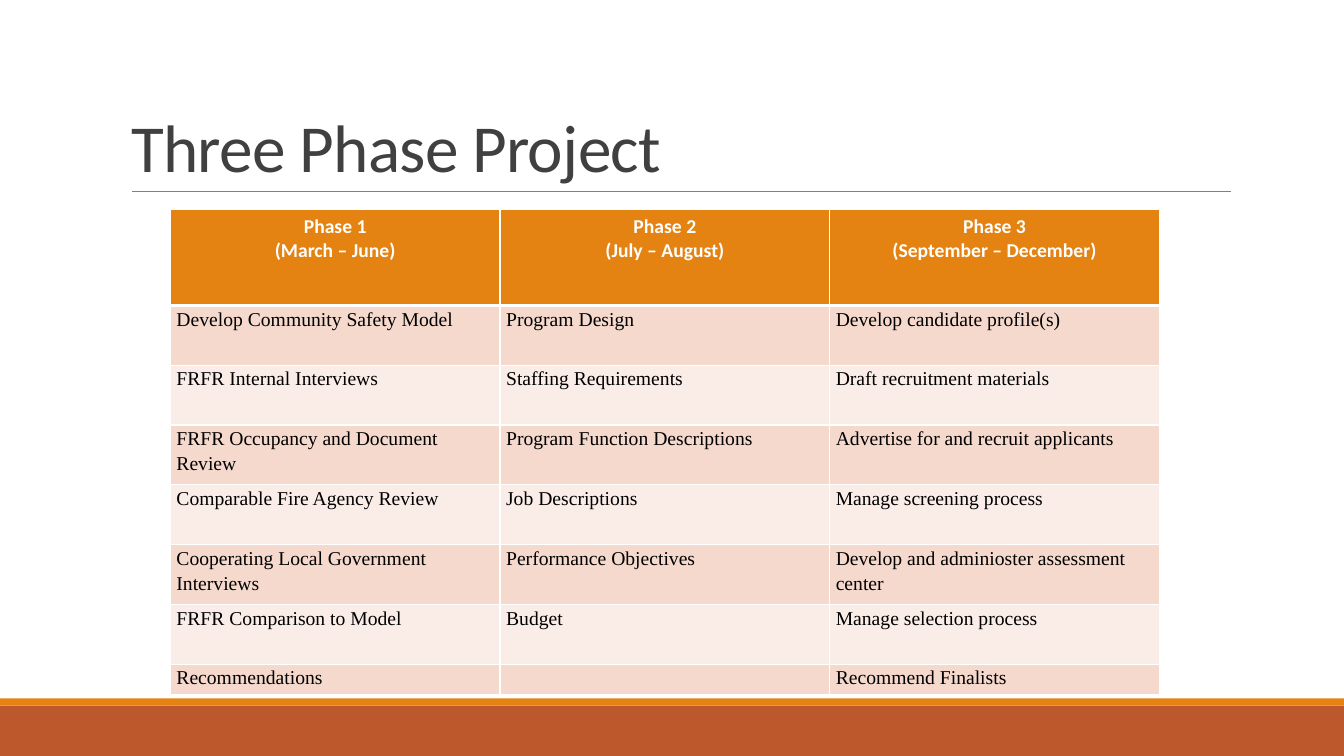
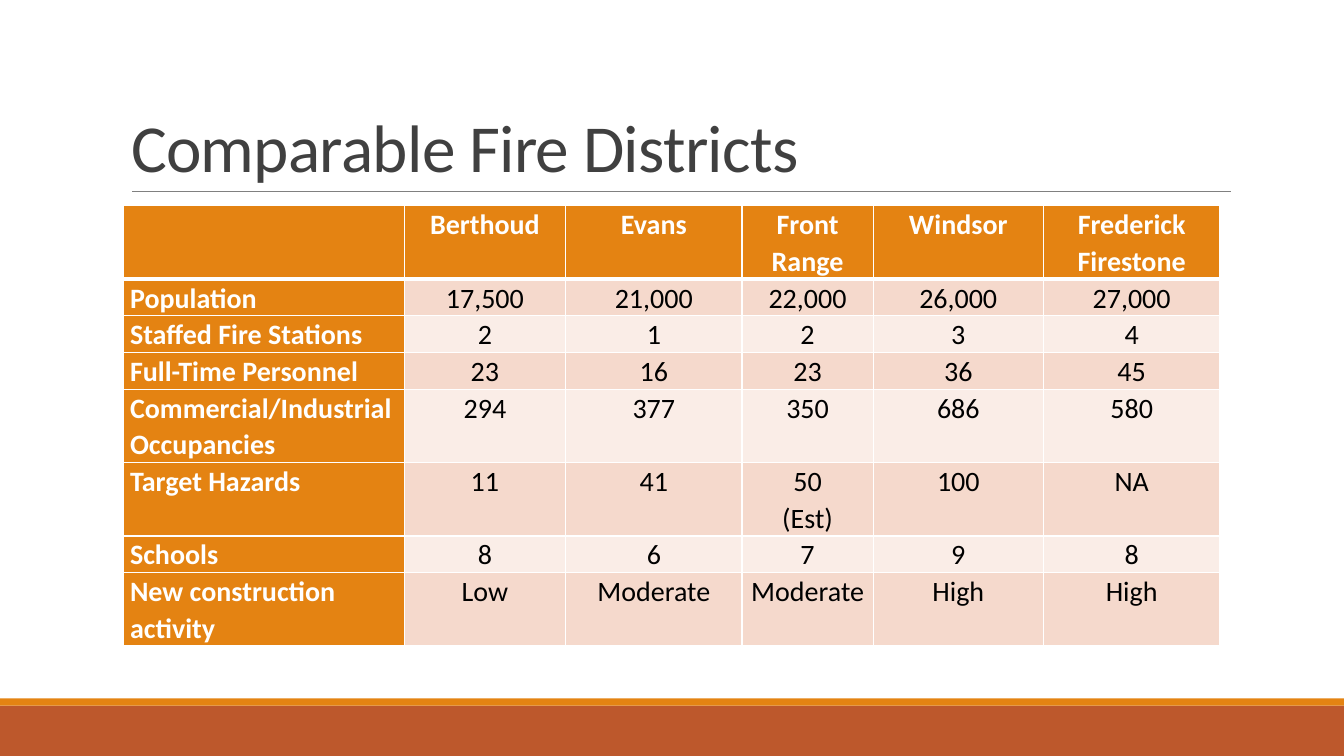
from pptx import Presentation
from pptx.dml.color import RGBColor
from pptx.enum.shapes import MSO_CONNECTOR, MSO_SHAPE
from pptx.enum.text import MSO_ANCHOR, PP_ALIGN
from pptx.oxml import parse_xml
from pptx.oxml.ns import nsdecls, qn
from pptx.util import Inches, Pt

LINE = MSO_CONNECTOR.STRAIGHT
RECTANGLE = MSO_SHAPE.RECTANGLE
BOTTOM = MSO_ANCHOR.BOTTOM
LEFT, CENTER = PP_ALIGN.LEFT, PP_ALIGN.CENTER

ORANGE, RUST, GRAY = "E48312", "BD582C", "808080"
WHITE, BLACK, TITLE_COLOR = "FFFFFF", "000000", "404040"
BANDS = ["FAEDE7", "F5D9CC"]
DECK_WIDTH, DECK_HEIGHT = 13.33, 7.5


def color(value):
    return RGBColor.from_string(value)


def add_borders(cell, top, bottom):
    """Draw white cell edges, 1 pt at the sides and the given points above and below."""
    properties = cell._tc.get_or_add_tcPr()
    for edge, width in (("lnL", 1), ("lnR", 1), ("lnT", top), ("lnB", bottom)):
        properties.append(parse_xml(
            f'<a:{edge} {nsdecls("a")} w="{Pt(width)}"><a:solidFill>'
            f'<a:srgbClr val="{WHITE}"/></a:solidFill></a:{edge}>'))


TABLES = [
    {
        "title": "Three Phase Project",
        "at": (1.69, 2.08),
        "columns": [3.27] * 3,
        "heights": [0.95] + [(4.81 - 0.95 - 0.3) / 6] * 6 + [0.3],
        "size": 14,
        "body_font": "Times New Roman",
        "body_align": LEFT,
        "header_column": False,
        "header_margins": (0.09, 0.05),
        "body_margins": (0.06, 0),
        "header_spacing": 1.0,
        "body_spacing": 1.15,
        "rows": [
            ["Phase 1\n(March – June)", "Phase 2\n(July – August)",
             "Phase 3\n(September – December)"],
            ["Develop Community Safety Model", "Program Design",
             "Develop candidate profile(s)"],
            ["FRFR Internal Interviews", "Staffing Requirements",
             "Draft recruitment materials"],
            ["FRFR Occupancy and Document Review", "Program Function Descriptions",
             "Advertise for and recruit applicants"],
            ["Comparable Fire Agency Review", "Job Descriptions",
             "Manage screening process"],
            ["Cooperating Local Government Interviews", "Performance Objectives",
             "Develop and adminioster assessment center"],
            ["FRFR Comparison to Model", "Budget", "Manage selection process"],
            ["Recommendations", "", "Recommend Finalists"],
        ],
    },
    {
        "title": "Comparable Fire Districts",
        "at": (1.22, 2.04),
        "columns": [2.79, 1.6, 1.75, 1.3, 1.69, 1.75],
        "heights": [0.68, 0.33, 0.33, 0.33, 0.68, 0.68, 0.33, 0.68],
        "size": 20,
        "body_font": "Calibri",
        "body_align": CENTER,
        "header_column": True,
        "header_margins": (0.07, 0),
        "body_margins": (0.07, 0),
        "header_spacing": 1.07,
        "body_spacing": 1.07,
        "rows": [
            ["", "Berthoud", "Evans", "Front Range", "Windsor", "Frederick Firestone"],
            ["Population", "17,500", "21,000", "22,000", "26,000", "27,000"],
            ["Staffed Fire Stations", "2", "1", "2", "3", "4"],
            ["Full-Time Personnel", "23", "16", "23", "36", "45"],
            ["Commercial/Industrial Occupancies", "294", "377", "350", "686", "580"],
            ["Target Hazards", "11", "41", "50\n(Est)", "100", "NA"],
            ["Schools", "8", "6", "7", "9", "8"],
            ["New construction activity", "Low", "Moderate", "Moderate", "High", "High"],
        ],
    },
]

deck = Presentation()
deck.slide_width, deck.slide_height = Inches(DECK_WIDTH), Inches(DECK_HEIGHT)

# Shared layout: title style, footer bands and the rule under the title
layout = deck.slide_layouts[5]
layout_title, *footers = layout.placeholders
for footer in footers:
    footer.element.getparent().remove(footer.element)
layout_title.left, layout_title.top = Inches(1.2), Inches(0.31)
layout_title.width, layout_title.height = Inches(11), Inches(1.59)
layout_title.text_frame.vertical_anchor = BOTTOM
layout_title.element.txBody.find(qn("a:lstStyle")).append(parse_xml(
    f'<a:lvl1pPr {nsdecls("a")} algn="l"><a:lnSpc><a:spcPct val="85000"/></a:lnSpc>'
    f'<a:defRPr sz="4800" spc="-50"><a:solidFill><a:srgbClr val="{TITLE_COLOR}"/>'
    '</a:solidFill><a:latin typeface="Calibri"/></a:defRPr></a:lvl1pPr>'))

pages = [deck.slides.add_slide(layout) for _ in TABLES]

# Layouts have no add_shape, so the decoration is made on a page and moved
decoration = []
for top, height, fill in ((7, 0.5, RUST), (6.93, 0.07, ORANGE)):
    band = pages[0].shapes.add_shape(
        RECTANGLE, 0, Inches(top), Inches(DECK_WIDTH), Inches(height))
    band.fill.solid()
    band.fill.fore_color.rgb = color(fill)
    band.line.fill.background()
    band.shadow.inherit = False
    decoration.append(band)
rule = pages[0].shapes.add_connector(
    LINE, Inches(1.31), Inches(1.9), Inches(12.21), Inches(1.9))
rule.line.color.rgb = color(GRAY)
rule.line.width = Pt(0.5)
rule.element.spPr.append(parse_xml(f'<a:effectLst {nsdecls("a")}/>'))
decoration.append(rule)
for shape in decoration:
    layout_title.element.addprevious(shape.element)

for page, content in zip(pages, TABLES):
    page.shapes.title.text_frame.text = content["title"]

    rows, columns, heights = content["rows"], content["columns"], content["heights"]
    left, top = content["at"]
    table = page.shapes.add_table(
        len(rows), len(columns), Inches(left), Inches(top),
        Inches(sum(columns)), Inches(sum(heights))).table
    table.horz_banding = False
    table.first_col = content["header_column"]
    for column, width in zip(table.columns, columns):
        column.width = Inches(width)

    for row_index, texts in enumerate(rows):
        table.rows[row_index].height = Inches(heights[row_index])
        for column_index, text in enumerate(texts):
            cell = table.cell(row_index, column_index)
            in_header_row = row_index == 0
            is_header = in_header_row or (content["header_column"] and column_index == 0)
            part = "header" if in_header_row else "body"

            add_borders(cell, 3 if row_index == 1 else 1, 3 if in_header_row else 1)
            cell.fill.solid()
            cell.fill.fore_color.rgb = color(ORANGE if is_header else BANDS[row_index % 2])
            side, end = content[part + "_margins"]
            cell.margin_left = cell.margin_right = Inches(side)
            cell.margin_top = cell.margin_bottom = Inches(end)
            if not text:
                continue

            cell.text_frame.text = text
            for para in cell.text_frame.paragraphs:
                para.line_spacing = content[part + "_spacing"]
                if in_header_row:
                    para.alignment = CENTER
                else:
                    para.alignment = LEFT if is_header else content["body_align"]
                font = para.runs[0].font
                font.name = "Calibri" if is_header else content["body_font"]
                font.size = Pt(content["size"])
                font.bold = is_header
                font.color.rgb = color(WHITE if is_header else BLACK)

deck.save("out.pptx")
